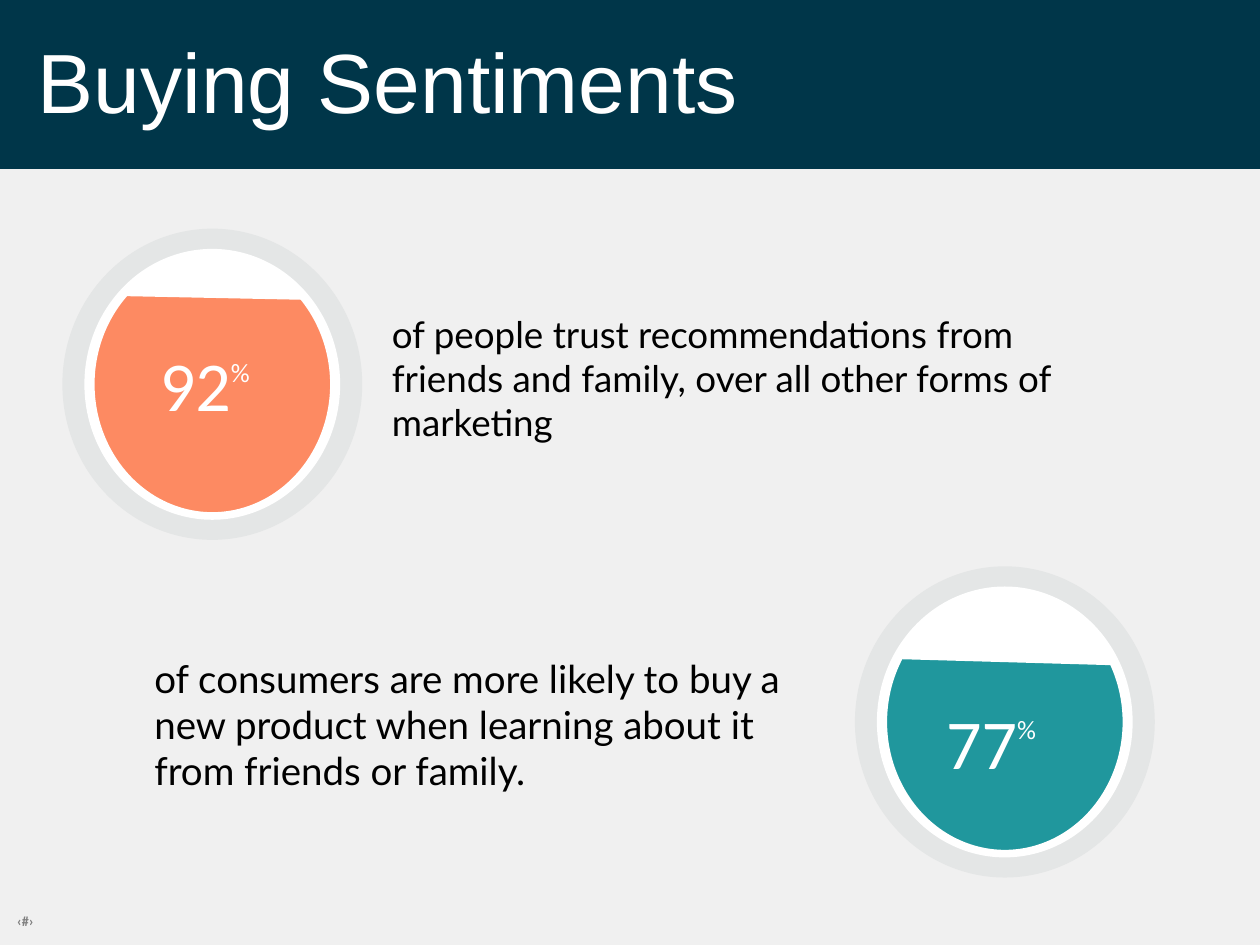
from math import cos, radians, sin

from pptx import Presentation
from pptx.dml.color import RGBColor
from pptx.enum.shapes import MSO_SHAPE
from pptx.enum.text import MSO_ANCHOR, MSO_AUTO_SIZE
from pptx.util import Inches, Pt

COLORS = {
    "back": "F0F0F0", "band": "003649", "ring": "E4E6E6", "white": "FFFFFF",
    "black": "000000", "grey": "808080", "orange": "FD8A62", "teal": "20979D",
}
COLS, ROWS = 100, 75
RING, DISC, LIQUID = (23.8, 24.7), (20.3, 21.5), (18.9, 20.5)
CAP_STEPS, CAP_BULGE = 6, 1.02


def cell(n):
    """Turn a number of grid columns or rows into a length."""
    return Inches(n * 10 / COLS)


def color(name):
    """Look up a colour by name."""
    return RGBColor.from_string(COLORS[name])


def paint(sp, fill, line=None):
    """Give a shape a flat fill and an optional outline."""
    sp.shadow.inherit = False
    sp.fill.solid()
    sp.fill.fore_color.rgb = color(fill)
    if line:
        sp.line.color.rgb = color(line)
        sp.line.width = Pt(1.5)
    else:
        sp.line.fill.background()


def add_band(s, height):
    """Add the title band across the top."""
    sp = s.shapes.add_shape(MSO_SHAPE.RECTANGLE, 0, 0, cell(COLS), cell(height))
    paint(sp, "band")


def add_oval(s, cx, cy, size, fill, line=None):
    """Add an oval around a centre."""
    w, h = size
    sp = s.shapes.add_shape(MSO_SHAPE.OVAL, cell(cx - w / 2), cell(cy - h / 2),
                            cell(w), cell(h))
    paint(sp, fill, line)


def add_cap(s, cx, cy, left, right, angle):
    """Cover the empty top of a dial above a sloping liquid level."""
    rx, ry = [n / 2 * CAP_BULGE for n in LIQUID]
    step = (180 - 2 * angle) / CAP_STEPS
    turns = [radians(angle + i * step) for i in range(1, CAP_STEPS)]
    arc = [(rx * cos(t), -ry * sin(t)) for t in turns]
    start, *rest = [(cell(cx + x), cell(cy + y)) for x, y in [left, right] + arc]
    fb = s.shapes.build_freeform(*start, scale=1.0)
    fb.add_line_segments(rest, close=True)
    paint(fb.convert_to_shape(), "white")


def add_text(s, box, runs, font, fill, inset=0.5, wrap=True, grow=True,
             middle=True, spacing=None):
    """Add a text box from runs of text, size, bold and baseline."""
    sp = s.shapes.add_textbox(*[cell(n) for n in box])
    tf = sp.text_frame
    tf.word_wrap = wrap
    tf.auto_size = MSO_AUTO_SIZE.SHAPE_TO_FIT_TEXT if grow else MSO_AUTO_SIZE.NONE
    tf.vertical_anchor = MSO_ANCHOR.MIDDLE if middle else MSO_ANCHOR.TOP
    tf.margin_left = tf.margin_right = cell(inset)
    tf.margin_top = tf.margin_bottom = cell(inset)
    p = tf.paragraphs[0]
    if spacing:
        p.line_spacing = spacing
    for text, size, bold, baseline in runs:
        r = p.add_run()
        r.text = text
        r.font.name, r.font.size, r.font.bold = font, Pt(size), bold
        r.font.color.rgb = color(fill)
        if baseline:
            r.font._element.set("baseline", str(baseline * 1000))


def add_dial(s, cx, cy, fill, cap, value, label_y, inset):
    """Add a ringed dial filled to a level, with its percentage."""
    add_oval(s, cx, cy, RING, "ring")
    add_oval(s, cx, cy, DISC, "white")
    add_oval(s, cx, cy, LIQUID, fill, "white")
    add_cap(s, cx, cy, *cap)
    add_text(s, (cx - 4.65, cy + label_y, 9.4, 8.3),
             [(value, 40, False, None), ("%", 26, False, 65)],
             "Calibri", "white", inset=inset, wrap=False)


def main():
    """Build the slide."""
    prs = Presentation()
    prs.slide_width, prs.slide_height = cell(COLS), cell(ROWS)
    s = prs.slides.add_slide(prs.slide_layouts[6])
    s.background.fill.solid()
    s.background.fill.fore_color.rgb = color("back")

    add_band(s, 13.4)
    add_text(s, (0.85, 71.9, 6.6, 2.4), [("‹#›", 8, True, None)], "Calibri", "grey")
    add_text(s, (2.5, 2.75, 93.5, 9.8), [("Buying Sentiments", 48, False, None)],
             "Arial", "white", grow=False, middle=False, spacing=0.9)

    add_dial(s, 16.85, 30.5, "orange", ((-7.45, -7), (7.35, -6.7), 43),
             "92", -4.2, 0.5)
    add_dial(s, 79.75, 57.3, "teal", ((-8.85, -5), (8.85, -4.5), 29),
             "77", -2.6, 0)

    add_text(s, (30.6, 24.7, 53.8, 10.6),
             [("of people trust recommendations from friends and family, "
               "over all other forms of marketing", 21, False, None)],
             "Lato", "black")
    add_text(s, (12.25, 51.95, 53.3, 11),
             [("of consumers are more likely to buy a new product when "
               "learning about it from friends or family.", 22, False, None)],
             "Lato", "black", inset=0)
    prs.save("out.pptx")


if __name__ == "__main__":
    main()
